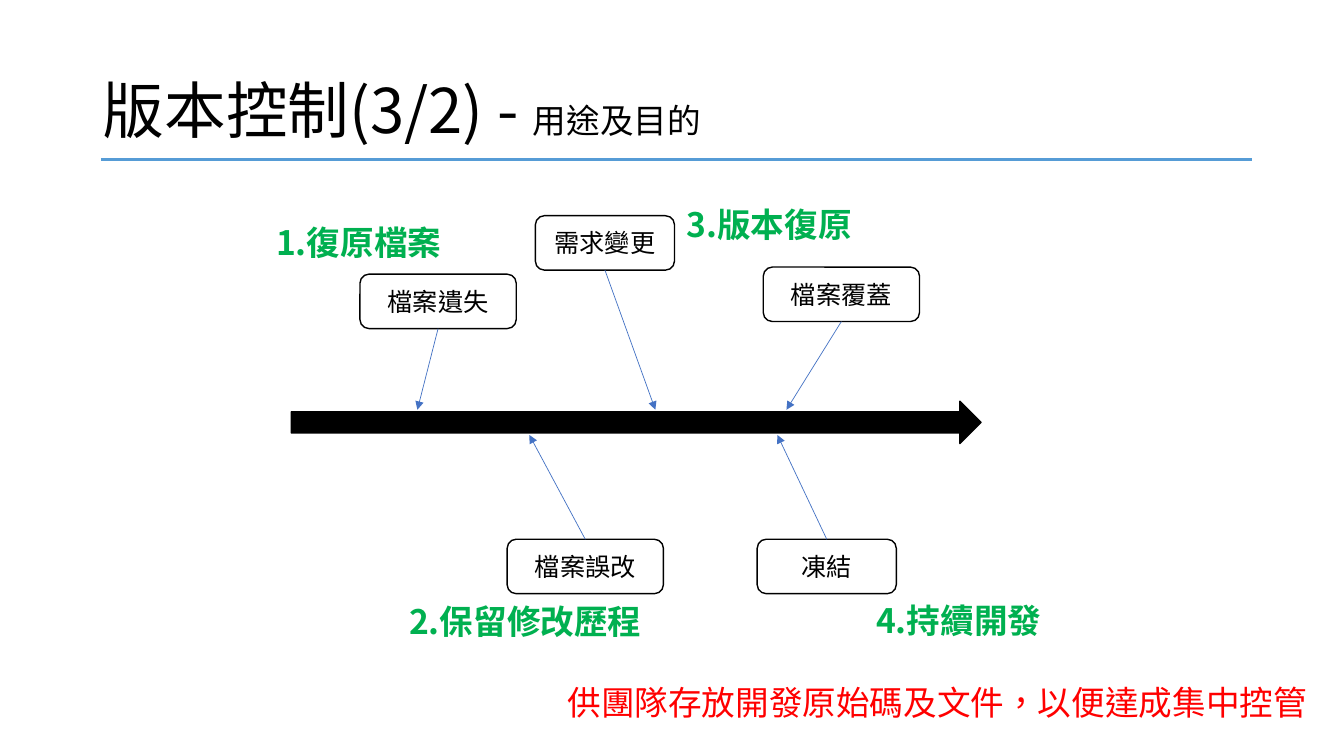
from dataclasses import dataclass

from lxml.etree import SubElement
from pptx import Presentation
from pptx.dml.color import RGBColor
from pptx.enum.shapes import MSO_CONNECTOR, MSO_SHAPE
from pptx.enum.text import MSO_ANCHOR, MSO_AUTO_SIZE, PP_ALIGN
from pptx.oxml.ns import qn
from pptx.util import Inches, Pt


@dataclass(frozen=True)
class Theme:
    font: str = "Noto Sans CJK SC"
    ink: str = "000000"
    paper: str = "FFFFFF"
    rule: str = "569CD6"
    pointer: str = "4472C4"
    benefit: str = "00B050"
    summary: str = "FF0000"
    title_size: int = 44
    note_size: int = 24
    cause_size: int = 18


@dataclass(frozen=True)
class Box:
    left: float
    top: float
    width: float
    height: float

    def inside(self, left, top, width, height):
        """Return a box whose offset is measured from this one."""
        return Box(self.left + left, self.top + top, width, height)

    def lengths(self):
        return [Inches(n) for n in (self.left, self.top, self.width, self.height)]


THEME = Theme()
CAUSE_HEIGHT = 0.54
NOTE_HEIGHT = 0.5
SHAFT_GAP = 0.125

# Text, left, top, width, and where its pointer meets the time arrow
CAUSES = [
    ("檔案遺失", 0.93, 0.75, 1.55, 1.5),
    ("檔案誤改", 2.39, 3.38, 1.55, 2.61),
    ("需求變更", 2.67, 0.17, 1.38, 3.86),
    ("凍結", 4.87, 3.38, 1.38, 5.07),
    ("檔案覆蓋", 4.93, 0.68, 1.55, 5.16),
]
# Text, left, top, width
BENEFITS = [
    ("1.復原檔案", 0, 0.18, 2.02),
    ("2.保留修改歷程", 1.32, 3.94, 2.58),
    ("3.版本復原", 4.07, 0, 2.02),
    ("4.持續開發", 5.95, 3.93, 2.02),
]


def add_span(para, text, size, color, bold=False):
    span = para.add_run()
    span.text = text
    formats = {"name": THEME.font, "size": Pt(size), "bold": bold}
    for name, value in formats.items():
        setattr(span.font, name, value)
    span.font.color.rgb = RGBColor.from_string(color)
    properties = span.font._element
    properties.set("lang", "zh-TW")
    SubElement(properties, qn("a:ea"), typeface=THEME.font)


def paint(shape, fill):
    shape.shadow.inherit = False
    shape.fill.solid()
    shape.fill.fore_color.rgb = RGBColor.from_string(fill)
    shape.line.color.rgb = RGBColor.from_string(THEME.ink)
    shape.line.width = Pt(1)


def add_line(page, start, end, color, width, arrow=False):
    points = [Inches(n) for n in (*start, *end)]
    line = page.shapes.add_connector(MSO_CONNECTOR.STRAIGHT, *points)
    line.line.color.rgb = RGBColor.from_string(color)
    line.line.width = Pt(width)
    if arrow:
        SubElement(line.line._get_or_add_ln(), qn("a:tailEnd"), type="triangle")
    SubElement(line._element.spPr, qn("a:effectLst"))
    return line


def add_note(page, box, text, color, bold=False):
    note = page.shapes.add_textbox(*box.lengths())
    note.text_frame.word_wrap = True
    note.text_frame.auto_size = MSO_AUTO_SIZE.SHAPE_TO_FIT_TEXT
    add_span(note.text_frame.paragraphs[0], text, THEME.note_size, color, bold)


def add_cause(page, box, text):
    cause = page.shapes.add_shape(MSO_SHAPE.ROUNDED_RECTANGLE, *box.lengths())
    paint(cause, THEME.paper)
    cause.text_frame.vertical_anchor = MSO_ANCHOR.MIDDLE
    para = cause.text_frame.paragraphs[0]
    para.alignment = PP_ALIGN.CENTER
    add_span(para, text, THEME.cause_size, THEME.ink)
    return cause


def add_header(page, box):
    title = page.shapes.title
    for name, value in zip(("left", "top", "width", "height"), box.lengths()):
        setattr(title, name, value)
    formats = {
        "word_wrap": True,
        "auto_size": MSO_AUTO_SIZE.NONE,
        "vertical_anchor": MSO_ANCHOR.MIDDLE,
    }
    for name, value in formats.items():
        setattr(title.text_frame, name, value)
    para = title.text_frame.paragraphs[0]
    para.alignment = PP_ALIGN.LEFT
    para.line_spacing = 0.9
    add_span(para, "版本控制(3/2) - ", THEME.title_size, THEME.ink)
    add_span(para, "用途及目的", THEME.note_size, THEME.ink)
    left, top = box.left + 0.08, box.top + 1.18
    add_line(page, (left, top), (left + 11.42, top), THEME.rule, 2.25)


def add_fishbone(page, box):
    """Causes point at a time arrow; benefits stand beside them."""
    spine = box.inside(0.25, 2.01, 6.84, 0.42)
    arrow = page.shapes.add_shape(MSO_SHAPE.RIGHT_ARROW, *spine.lengths())
    paint(arrow, THEME.ink)
    middle = spine.top + spine.height / 2
    for text, left, top, width, target in CAUSES:
        place = box.inside(left, top, width, CAUSE_HEIGHT)
        cause = add_cause(page, place, text)
        above = place.top < middle
        start = (place.left + width / 2, place.top + CAUSE_HEIGHT * above)
        end = (box.left + target, middle + (-SHAFT_GAP if above else SHAFT_GAP))
        pointer = add_line(page, start, end, THEME.pointer, 0.5, arrow=True)
        pointer.begin_connect(cause, 2 if above else 0)
    for text, left, top, width in BENEFITS:
        place = box.inside(left, top, width, NOTE_HEIGHT)
        add_note(page, place, text, THEME.benefit, bold=True)


def main():
    deck = Presentation()
    deck.slide_width, deck.slide_height = Inches(13.33), Inches(7.5)
    page = deck.slides.add_slide(deck.slide_layouts[5])
    add_header(page, Box(0.92, 0.4, 11.5, 1.45))
    add_fishbone(page, Box(2.64, 1.97, 7.97, 4.44))
    summary = "供團隊存放開發原始碼及文件，以便達成集中控管"
    add_note(page, Box(5.53, 6.72, 7.63, NOTE_HEIGHT), summary, THEME.summary)
    deck.save("out.pptx")


if __name__ == "__main__":
    main()
